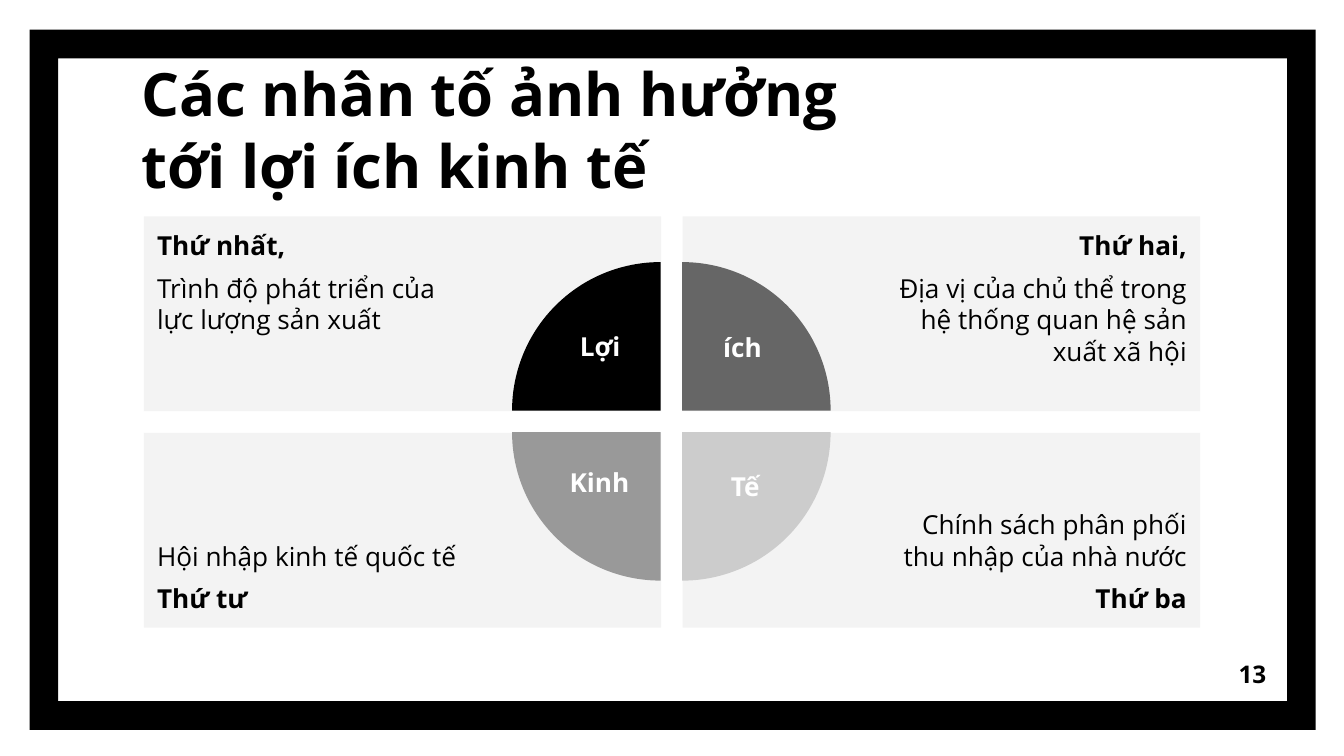
from pptx import Presentation
from pptx.dml.color import RGBColor
from pptx.enum import shapes, text
from pptx.util import Inches, Pt

COLOURS = {
    "black": "000000", "white": "FFFFFF", "panel": "F3F3F3",
    "dark": "666666", "middle": "999999", "light": "CCCCCC",
}
FONT = "Open Sans"
LEFT, RIGHT = text.PP_ALIGN.LEFT, text.PP_ALIGN.RIGHT
CENTER = text.PP_ALIGN.CENTER
TOP, MIDDLE = text.MSO_ANCHOR.TOP, text.MSO_ANCHOR.MIDDLE
BOTTOM = text.MSO_ANCHOR.BOTTOM

PANEL_LEFTS, PANEL_TOPS = (1.07, 5.08), (1.61, 3.22)
PANEL_WIDTH, PANEL_HEIGHT = 3.85, 1.45
PIE_LEFTS, PIE_TOPS, PIE_SIZE = (3.81, 3.97), (1.95, 2.11), 2.21

# column, row, heading, body
PANELS = [
    (0, 0, "Thứ nhất,", "Trình độ phát triển của lực lượng sản xuất"),
    (1, 0, "Thứ hai,", "Địa vị của chủ thể trong hệ thống quan hệ sản xuất xã hội"),
    (0, 1, "Thứ tư", "Hội nhập kinh tế quốc tế"),
    (1, 1, "Thứ ba", "Chính sách phân phối thu nhập của nhà nước"),
]
# column, row, colour; clockwise from the top left
QUARTERS = [(0, 0, "black"), (1, 0, "dark"), (1, 1, "light"), (0, 1, "middle")]
LABELS = [
    ("Lợi", (4.16, 2.41, 0.61, 0.38)),
    ("ích", (5.25, 2.42, 0.55, 0.37)),
    ("Kinh", (4.12, 3.42, 0.68, 0.38)),
    ("Tế", (5.29, 3.45, 0.51, 0.37)),
]


def set_values(target, values):
    for name, value in values.items():
        setattr(target, name, value)


def format_frame(frame, anchor=TOP, left=0.1, right=0.1, vertical=0.1):
    set_values(frame, {
        "word_wrap": True, "auto_size": text.MSO_AUTO_SIZE.NONE,
        "vertical_anchor": anchor,
        "margin_left": Inches(left), "margin_right": Inches(right),
        "margin_top": Inches(vertical), "margin_bottom": Inches(vertical),
    })


def write(paragraph, words, size=14, bold=True, colour="black",
          align=LEFT, before=0, after=0):
    set_values(paragraph, {"alignment": align, "space_before": Pt(before),
                           "space_after": Pt(after)})
    run = paragraph.add_run()
    run.text = words
    set_values(run.font, {"name": FONT, "size": Pt(size), "bold": bold})
    run.font.color.rgb = RGBColor.from_string(COLOURS[colour])


def add_filled(slide, kind, box, colour):
    shape = slide.shapes.add_shape(kind, *map(Inches, box))
    shape.shadow.inherit = False
    shape.fill.solid()
    shape.fill.fore_color.rgb = RGBColor.from_string(COLOURS[colour])
    shape.line.fill.background()
    return shape


def add_label(slide, words, box, anchor=TOP, vertical=0.05, **formats):
    frame = slide.shapes.add_textbox(*map(Inches, box)).text_frame
    format_frame(frame, anchor, vertical=vertical)
    write(frame.paragraphs[0], words, **formats)


def add_title(slide, words):
    title = slide.shapes.title
    set_values(title, {"left": Inches(0.95), "top": Inches(0.93),
                       "width": Inches(5.57), "height": Inches(0.66)})
    format_frame(title.text_frame, BOTTOM)
    write(title.text_frame.paragraphs[0], words, size=32)


def add_panel(slide, column, row, heading, body):
    """Add a panel whose heading sits at its outer edge, clear of the circle."""
    box = (PANEL_LEFTS[column], PANEL_TOPS[row], PANEL_WIDTH, PANEL_HEIGHT)
    frame = add_filled(slide, shapes.MSO_SHAPE.RECTANGLE, box, "panel").text_frame
    format_frame(frame, (TOP, BOTTOM)[row],
                 left=(0.1, 1.5)[column], right=(1.5, 0.1)[column])
    lines = [(heading, True), (body, False)]
    if row == 1:
        lines.reverse()
    align = (LEFT, RIGHT)[column]
    (first, first_bold), (second, second_bold) = lines
    write(frame.paragraphs[0], first, bold=first_bold, align=align)
    write(frame.add_paragraph(), second, bold=second_bold, align=align,
          before=6, after=6)


def add_quarter(slide, column, row, colour, rotation):
    box = (PIE_LEFTS[column], PIE_TOPS[row], PIE_SIZE, PIE_SIZE)
    pie = add_filled(slide, shapes.MSO_SHAPE.PIE, box, colour)
    pie.adjustments[0] = 108  # 180 degrees
    pie.adjustments[1] = 162  # 270 degrees
    pie.rotation = rotation


def main():
    presentation = Presentation()
    presentation.slide_width = Inches(10)
    presentation.slide_height = Inches(10) * 9 // 16
    slide = presentation.slides.add_slide(presentation.slide_layouts[5])

    border = add_filled(slide, shapes.MSO_SHAPE.FRAME,
                        (0.22, 0.22, 9.57, 5.21), "black")
    border.adjustments[0] = 0.041
    add_label(slide, "13", (8.92, 4.8, 0.6, 0.43), MIDDLE, 0.1,
              size=13, align=RIGHT)
    for panel in PANELS:
        add_panel(slide, *panel)
    for index, quarter in enumerate(QUARTERS):
        add_quarter(slide, *quarter, rotation=90 * index)
    for words, box in LABELS:
        add_label(slide, words, box, colour="white", align=CENTER)
    add_title(slide, "Các nhân tố ảnh hưởng tới lợi ích kinh tế")
    presentation.save("out.pptx")


if __name__ == "__main__":
    main()
